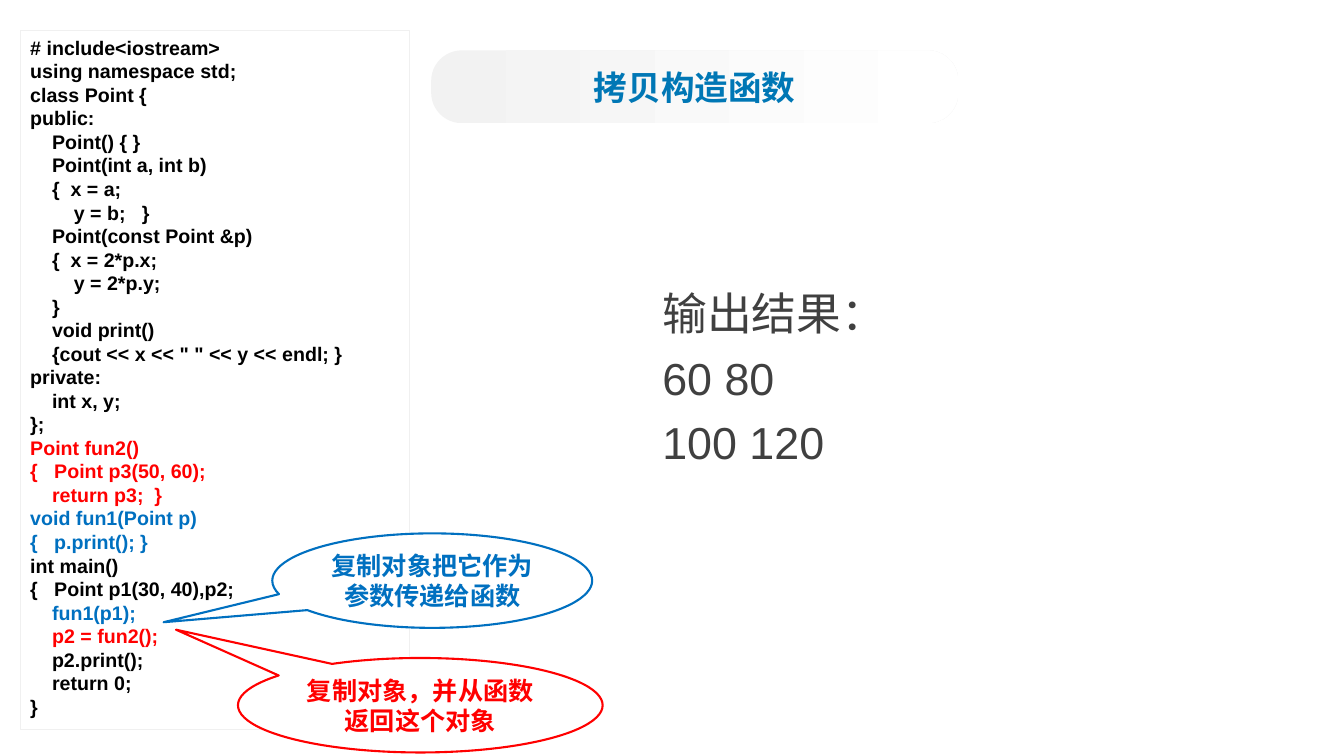
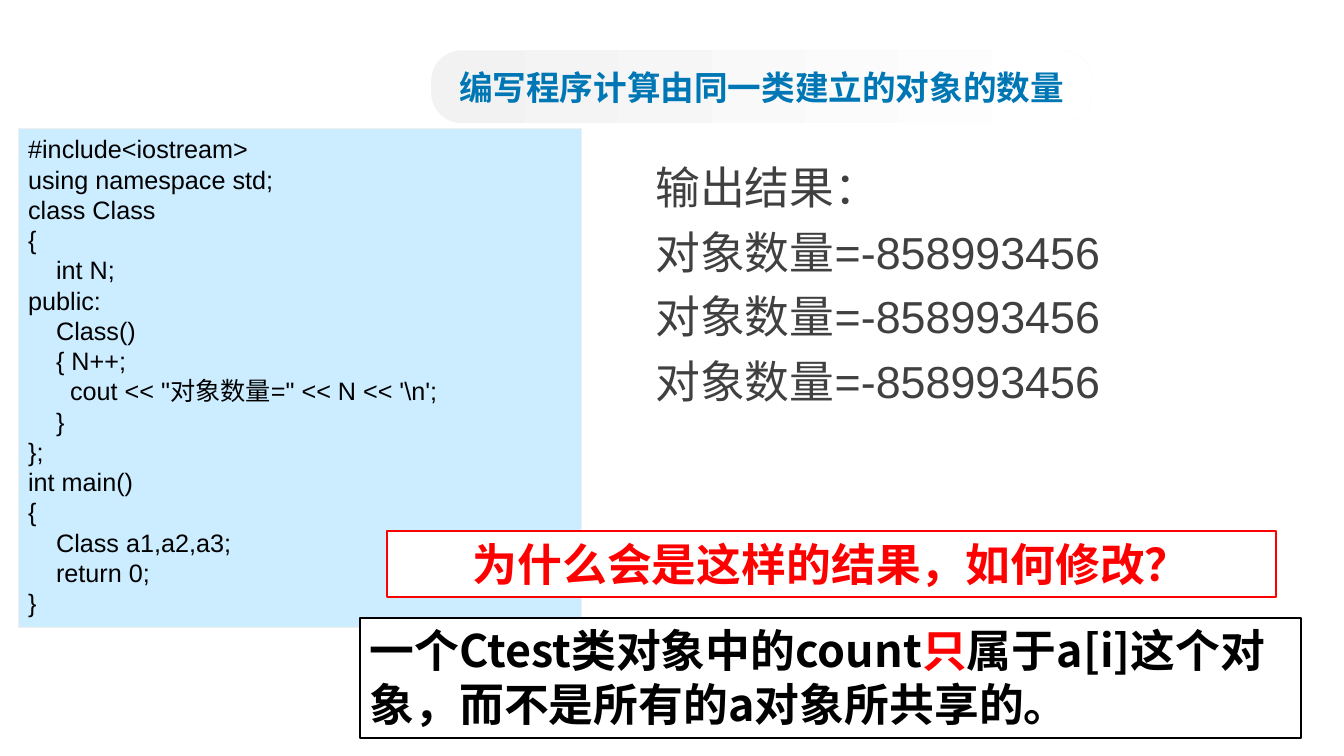
"""Build two C++ teaching slides on copy constructors and object counting."""
from lxml import etree
from pptx import Presentation
from pptx.dml.color import RGBColor
from pptx.enum import shapes, text
from pptx.oxml import ns
from pptx.util import Pt

COLORS = {
    "black": "000000", "white": "FFFFFF", "red": "FF0000", "blue": "0070C0",
    "title": "0077B5", "body": "404040", "band": "F2F2F2",
    "edge": "F0F0F0", "sky": "CCECFF",
}
SANS, CJK = "Arial", "Noto Sans CJK SC"
SHAPE = shapes.MSO_SHAPE

POINT_CODE = [
    ("black", """# include<iostream>
using namespace std;
class Point {
public:
    Point() { }
    Point(int a, int b)
    {  x = a;
        y = b;   }
    Point(const Point &p)
    {  x = 2*p.x;
        y = 2*p.y;
    }
    void print()
    {cout << x << " " << y << endl; }
private:
    int x, y;
};
"""),
    ("red", """Point fun2()
{   Point p3(50, 60);
    return p3;  }
"""),
    ("blue", """void fun1(Point p)
{   p.print(); }
"""),
    ("black", """int main()
{   Point p1(30, 40),p2;
    """),
    ("blue", "fun1(p1);\n"),
    ("black", "    "),
    ("red", "p2 = fun2();\n"),
    ("black", """    p2.print();
    return 0;
}"""),
]

CLASS_CODE = [("black", r"""#include<iostream>
using namespace std;
class Class
{
    int N;
public:
    Class()
    { N++;
      cout << "对象数量=" << N << '\n';
    }
};
int main()
{
    Class a1,a2,a3;
    return 0;
}""")]


def rgb(name):
    return RGBColor.from_string(COLORS[name])


def add_run(p, content, color, size, font, bold):
    r = p.add_run()
    r.text = content
    f = r.font
    f.size, f.bold, f.name = Pt(size), bold, font
    f.color.rgb = rgb(color)
    etree.SubElement(r._r.get_or_add_rPr(), ns.qn("a:ea"), typeface=CJK)


def write(sp, segments, size, font=CJK, bold=True, align="LEFT", anchor="TOP", spacing=None):
    tf = sp.text_frame
    tf.word_wrap = True
    tf.vertical_anchor = text.MSO_ANCHOR[anchor]
    p = tf.paragraphs[0]
    for color, content in segments:
        for i, line in enumerate(content.split("\n")):
            if i:
                p = tf.add_paragraph()
            if line:
                add_run(p, line, color, size, font, bold)
    for p in tf.paragraphs:
        p.alignment = text.PP_ALIGN[align]
        if spacing:
            p.line_spacing = spacing


def add_box(s, at, segments, size, kind=SHAPE.RECTANGLE, fill="white", line="edge",
            width=1.5, adj=(), **fmt):
    sp = s.shapes.add_shape(kind, *map(Pt, at))
    sp.shadow.inherit = False
    for i, value in enumerate(adj):
        sp.adjustments[i] = value
    sp.fill.solid()
    sp.fill.fore_color.rgb = rgb(fill)
    if line:
        sp.line.color.rgb = rgb(line)
        sp.line.width = Pt(width)
    else:
        sp.line.fill.background()
    write(sp, segments, size, **fmt)
    return sp


def add_title(s, title, width):
    sp = add_box(s, (308, 36, width, 52), [("title", title)], 24,
                 kind=SHAPE.ROUNDED_RECTANGLE, line=None, adj=(0.42,),
                 align="CENTER", anchor="MIDDLE")
    sp.fill.gradient()
    sp.fill.gradient_angle = 0
    for stop, (position, color) in zip(sp.fill.gradient_stops, ((0, "band"), (0.99, "white"))):
        stop.position = position
        stop.color.rgb = rgb(color)


def add_code(s, at, segments, size, bold=False, fill="white"):
    add_box(s, at, segments, size, fill=fill, width=0.75, font=SANS, bold=bold)


def add_output(s, at, content):
    sp = s.shapes.add_textbox(*map(Pt, at))
    write(sp, [("body", content)], 32, font=SANS, bold=False, spacing=1.2)


def add_callout(s, at, content, color, tip):
    add_box(s, at, [(color, content)], 18, kind=SHAPE.OVAL_CALLOUT, line=color,
            adj=tip, align="CENTER", anchor="MIDDLE")


def copy_slide(s):
    add_title(s, "拷贝构造函数", 376.5)
    add_output(s, (466, 193, 231, 142), "输出结果：\n60 80\n100 120")
    add_code(s, (14.5, 22, 278, 499), POINT_CODE, 14, bold=True)
    add_callout(s, (194.5, 381, 228.5, 67.5), "复制对象把它作为参数传递给函数", "blue", (-0.84, 0.44))
    add_callout(s, (170, 470, 260.5, 67.5), "复制对象，并从函数返回这个对象", "red", (-0.67, -0.8))


def count_slide(s):
    add_title(s, "编写程序计算由同一类建立的对象的数量", 472)
    add_code(s, (13, 92, 402.5, 356.5), CLASS_CODE, 18, fill="sky")
    add_output(s, (461, 103, 368, 235), "\n".join(["输出结果："] + ["对象数量=-858993456"] * 3))
    add_box(s, (276.5, 379.5, 635, 47), [("red", "为什么会是这样的结果，如何修改？")], 32,
            line="red", align="CENTER")
    add_box(s, (257, 441.5, 672.5, 85.5), [
        ("black", "一个Ctest类对象中的count"),
        ("red", "只"),
        ("black", "属于a[i]这个对象，而不是所有的a对象所共享的。"),
    ], 32, line="black")


def main():
    prs = Presentation()
    prs.slide_width, prs.slide_height = Pt(960), Pt(540)
    for build in (copy_slide, count_slide):
        build(prs.slides.add_slide(prs.slide_layouts[6]))
    prs.save("out.pptx")


if __name__ == "__main__":
    main()
